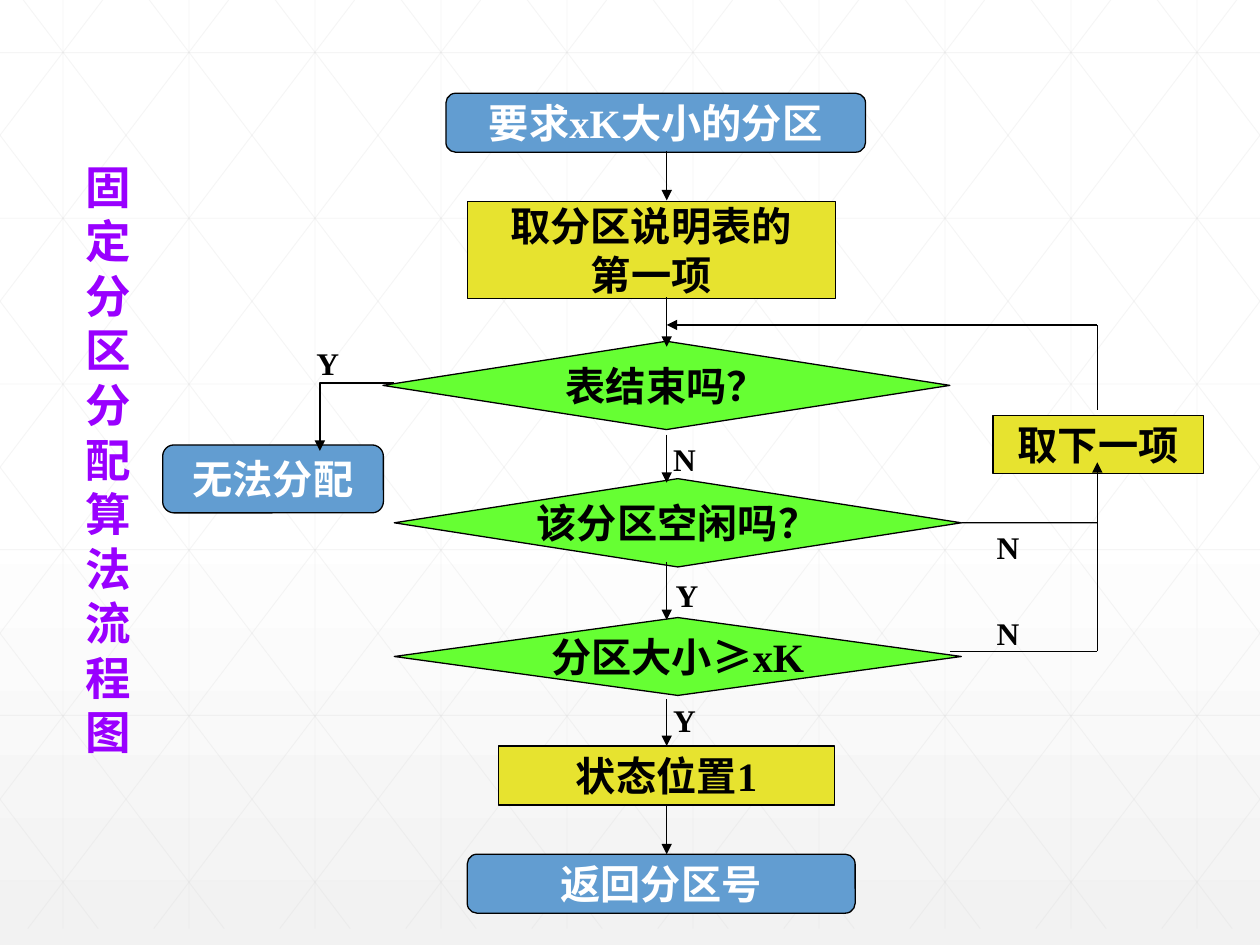
from copy import deepcopy

from lxml import etree
from pptx import Presentation
from pptx.dml.color import RGBColor
from pptx.enum import shapes, text
from pptx.oxml.ns import qn
from pptx.util import Cm, Pt

BLACK = RGBColor(0x00, 0x00, 0x00)
WHITE = RGBColor(0xFF, 0xFF, 0xFF)
PALE = RGBColor(0xF2, 0xF2, 0xF2)
GRAY = RGBColor(0xD9, 0xD9, 0xD9)
BLUE = RGBColor(0x62, 0x9D, 0xD1)
YELLOW = RGBColor(0xE7, 0xE3, 0x2F)
GREEN = RGBColor(0x66, 0xFF, 0x33)
PURPLE = RGBColor(0x99, 0x00, 0xFF)

FONT = "Times New Roman"
WIDE, HIGH = 25.4, 19.05
FLOOR = 18.72  # lower end of the grid
STEP = 2.54
SPINE = 13.44  # x of the main flow
BACK = 22.12  # x of the loop back

# Kind of step: preset shape, fill, text colour
ROUND = (shapes.MSO_SHAPE.ROUNDED_RECTANGLE, BLUE, WHITE)
BOX = (shapes.MSO_SHAPE.RECTANGLE, YELLOW, BLACK)
TEST = (shapes.MSO_SHAPE.DIAMOND, GREEN, BLACK)

STEPS = [
    ("要求xK大小的分区", ROUND, (8.99, 1.88, 8.46, 1.19)),
    ("取分区说明表的\n第一项", BOX, (9.42, 4.06, 7.42, 1.96)),
    ("该分区空闲吗？", TEST, (7.95, 9.65, 11.43, 1.78)),
    ("分区大小≥xK", TEST, (7.95, 12.45, 11.43, 1.57)),
    ("表结束吗？", TEST, (7.72, 6.88, 11.43, 1.78)),
    ("返回分区号", ROUND, (9.42, 17.22, 7.82, 1.19)),
    ("状态位置1", BOX, (10.05, 15.04, 6.78, 1.19)),
    ("无法分配", ROUND, (3.28, 8.97, 4.45, 1.37)),
    ("取下一项", BOX, (20.02, 8.38, 4.24, 1.17)),
]

LABELS = [
    ("N", (13.44, 8.69, 1.27, 1.12)),
    ("Y", (13.49, 11.43, 1.02, 1.14)),
    ("Y", (13.44, 13.97, 0.84, 1.07)),
    ("Y", (6.25, 6.78, 1.07, 1.07)),
    ("N", (19.96, 10.41, 0.89, 1.24)),
    ("N", (19.96, 12.19, 0.89, 1.14)),
]


def paint(slide):
    """Fill the background with a white to pale grey gradient."""
    fill = slide.background.fill
    fill.gradient()
    fill.gradient_angle = 270
    first = slide._element.xpath(".//a:gs")[0]
    first.addnext(deepcopy(first))
    for stop, place, tone in zip(fill.gradient_stops, (0, 0.53, 1), (WHITE, WHITE, PALE)):
        stop.position = place
        stop.color.rgb = tone


def tip(line):
    """Put an arrowhead at the end of a line."""
    etree.SubElement(line._get_or_add_ln(), qn("a:tailEnd"), type="triangle")


def link(slide, x1, y1, x2, y2, arrow=False, tone=BLACK, size=0.75):
    wire = slide.shapes.add_connector(
        shapes.MSO_CONNECTOR.STRAIGHT, Cm(x1), Cm(y1), Cm(x2), Cm(y2))
    wire.line.color.rgb = tone
    wire.line.width = Pt(size)
    if arrow:
        tip(wire.line)
    etree.SubElement(wire._element.spPr, qn("a:effectLst"))
    return wire


def faint(slide, *ends):
    wire = link(slide, *ends, tone=GRAY, size=0.5)
    tint = wire._element.spPr.find(".//" + qn("a:srgbClr"))
    etree.SubElement(tint, qn("a:alpha"), val="25000")


def grid(slide):
    """Draw upright, level and slanting lines behind the chart."""
    for i in range(10):
        x = STEP / 2 + i * STEP
        faint(slide, x, 0, x, FLOOR)
    for i in range(6):
        y = 1.06 + i * 3.34
        faint(slide, 0, y, WIDE, y)
    run = 14.21
    slope = FLOOR / run
    for i in range(-5, 10):
        x = 0.47 + i * STEP
        left, right = max(x, 0), min(x + run, WIDE)
        top, low = (left - x) * slope, (right - x) * slope
        faint(slide, left, top, right, low)
        faint(slide, WIDE - left, top, WIDE - right, low)


def write(shape, words, size, tone, align=None):
    frame = shape.text_frame
    frame.text = words
    frame.word_wrap = False
    frame.vertical_anchor = text.MSO_ANCHOR.MIDDLE
    frame.margin_left = frame.margin_right = Cm(0.13)
    frame.margin_top = frame.margin_bottom = Cm(0.06)
    for para in frame.paragraphs:
        para.alignment = align
        para.font.name = FONT
        para.font.size = Pt(size)
        para.font.bold = True
        para.font.color.rgb = tone
    return frame


def step(slide, words, kind, place):
    form, tone, ink = kind
    shape = slide.shapes.add_shape(form, *map(Cm, place))
    shape.shadow.inherit = False
    shape.fill.solid()
    shape.fill.fore_color.rgb = tone
    shape.line.color.rgb = BLACK
    shape.line.width = Pt(0.75)
    write(shape, words, 23, ink, text.PP_ALIGN.CENTER)
    return shape


def label(slide, words, place, size=18, tone=BLACK):
    return write(slide.shapes.add_textbox(*map(Cm, place)), words, size, tone)


def title(slide):
    frame = label(slide, "固定分区分配算法流程图", (1.47, 3.07, 1.96, 12.37), 26, PURPLE)
    frame.word_wrap = True
    frame.auto_size = text.MSO_AUTO_SIZE.SHAPE_TO_FIT_TEXT
    frame.vertical_anchor = text.MSO_ANCHOR.TOP
    frame.margin_left = frame.margin_right = Cm(0.25)
    frame.margin_top = frame.margin_bottom = Cm(0.13)


def elbow(slide, start, *rest):
    """Draw an open bent line that ends in an arrowhead."""
    pen = slide.shapes.build_freeform(*map(Cm, start))
    pen.add_line_segments([tuple(map(Cm, spot)) for spot in rest], close=False)
    bend = pen.convert_to_shape()
    bend.shadow.inherit = False
    bend.fill.background()
    bend.line.color.rgb = BLACK
    bend.line.width = Pt(0.75)
    tip(bend.line)


def main():
    deck = Presentation()
    deck.slide_width, deck.slide_height = Cm(WIDE), Cm(HIGH)
    slide = deck.slides.add_slide(deck.slide_layouts[6])
    paint(slide)
    grid(slide)
    title(slide)
    made = {words: step(slide, words, kind, place) for words, kind, place in STEPS}

    spans = [(3.05, 4.04), (5.99, 6.99), (8.76, 9.73),
             (11.33, 12.5), (14.1, 15.04), (16.23, 17.22)]
    flow = [link(slide, SPINE, top, SPINE, low, True) for top, low in spans]
    flow[4].end_connect(made["状态位置1"], 0)
    flow[5].begin_connect(made["状态位置1"], 2)

    elbow(slide, (7.95, 7.72), (6.45, 7.72), (6.45, 9.09))
    link(slide, 19.38, 10.54, BACK, 10.54).begin_connect(made["该分区空闲吗？"], 3)
    link(slide, BACK, 10.59, BACK, 9.32, True)
    link(slide, 19.15, 13.13, BACK, 13.13)
    link(slide, BACK, 13.13, BACK, 10.59)
    link(slide, BACK, 8.26, BACK, 6.55)
    link(slide, BACK, 6.55, SPINE, 6.55, True)
    for words, place in LABELS:
        label(slide, words, place)
    deck.save("out.pptx")


if __name__ == "__main__":
    main()
